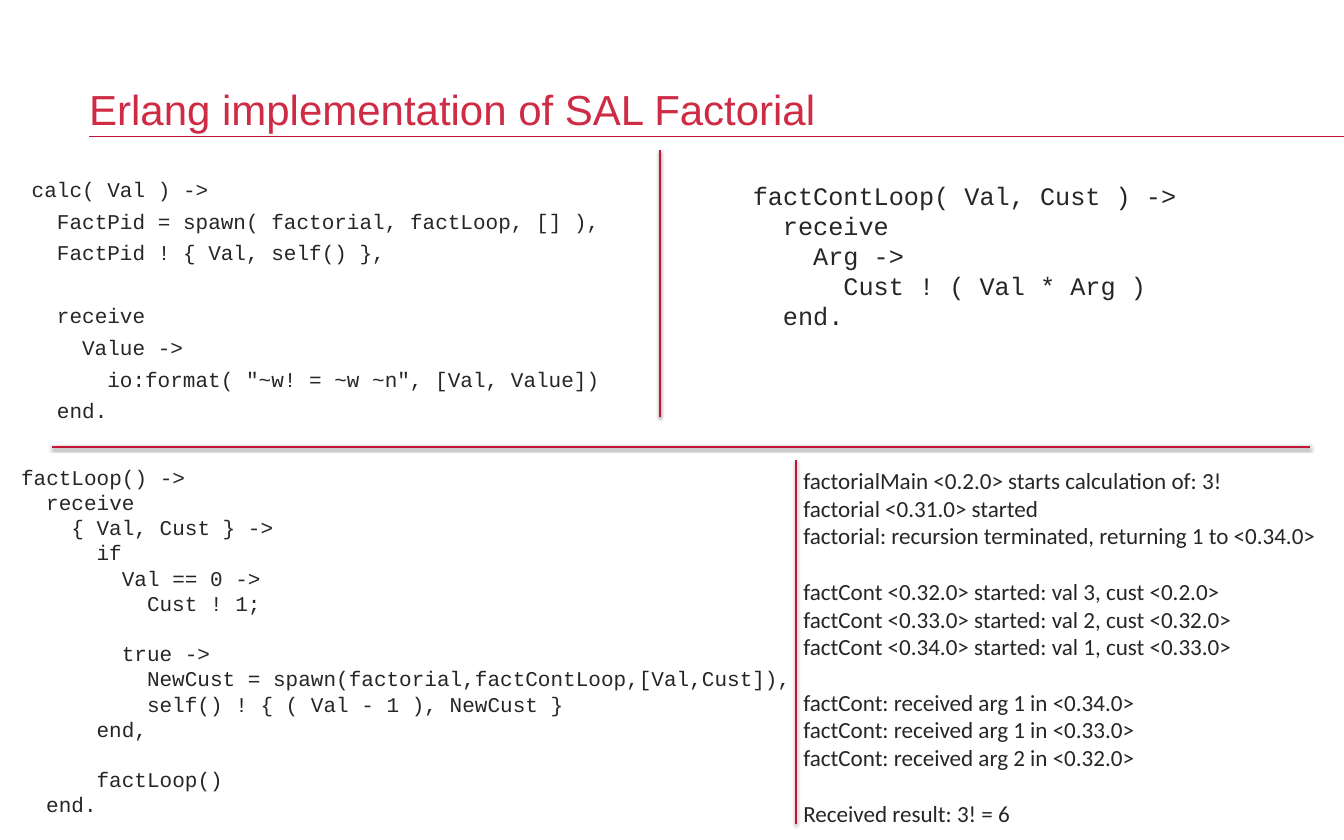
from lxml import etree
from pptx import Presentation
from pptx.dml.color import RGBColor
from pptx.enum.shapes import MSO_CONNECTOR
from pptx.enum.text import MSO_ANCHOR
from pptx.oxml.ns import qn
from pptx.util import Inches, Pt

STRAIGHT = MSO_CONNECTOR.STRAIGHT
TOP, BOTTOM = MSO_ANCHOR.TOP, MSO_ANCHOR.BOTTOM
COLORS = {"title": "CE2C45", "rule": "C11635", "text": "262626", "shadow": "000000"}
CODE_FONT = "Courier New"
CHAR_WIDTH = 0.6

CALC = """calc( Val ) ->
  FactPid = spawn( factorial, factLoop, [] ),
  FactPid ! { Val, self() },

  receive
    Value ->
      io:format( "~w! = ~w ~n", [Val, Value])
  end."""

FACT_LOOP = """factLoop() ->
  receive
    { Val, Cust } ->
      if
        Val == 0 ->
          Cust ! 1;

        true ->
          NewCust = spawn(factorial,factContLoop,[Val,Cust]),
          self() ! { ( Val - 1 ), NewCust }
      end,

      factLoop()
  end."""

FACT_CONT_LOOP = """factContLoop( Val, Cust ) ->
  receive
    Arg ->
      Cust ! ( Val * Arg )
  end."""

OUTPUT = """factorialMain <0.2.0> starts calculation of: 3!
factorial <0.31.0> started
factorial: recursion terminated, returning 1 to <0.34.0>

factCont <0.32.0> started: val 3, cust <0.2.0>
factCont <0.33.0> started: val 2, cust <0.32.0>
factCont <0.34.0> started: val 1, cust <0.33.0>

factCont: received arg 1 in <0.34.0>
factCont: received arg 1 in <0.33.0>
factCont: received arg 2 in <0.32.0>

Received result: 3! = 6"""


def add_line(s, x1, y1, x2, y2, width, shadow=True):
    line = s.shapes.add_connector(STRAIGHT, Inches(x1), Inches(y1), Inches(x2), Inches(y2))
    line.line.color.rgb = RGBColor.from_string(COLORS["rule"])
    line.line.width = Pt(width)
    effects = etree.SubElement(line._element.spPr, qn("a:effectLst"))
    if shadow:
        outer = etree.SubElement(effects, qn("a:outerShdw"), blurRad=str(Pt(3.1)),
                                 dist=str(Pt(1.6)), dir="5400000", rotWithShape="0")
        color = etree.SubElement(outer, qn("a:srgbClr"), val=COLORS["shadow"])
        etree.SubElement(color, qn("a:alpha"), val="38000")


def add_text(s, box, text, font, size, pitch, color="text", after=0,
             insets=(0.1, 0.05, 0.1, 0.05), anchor=TOP):
    tf = s.shapes.add_textbox(*map(Inches, box)).text_frame
    tf.word_wrap = True
    tf.vertical_anchor = anchor
    tf.margin_left, tf.margin_top, tf.margin_right, tf.margin_bottom = map(Inches, insets)
    p, gap = tf.paragraphs[0], 0
    for line in text.split("\n"):
        words = line.lstrip()
        if not words:
            gap += pitch + after
            continue
        if p.runs:
            p = tf.add_paragraph()
        p.line_spacing = Pt(pitch)
        p.space_before, p.space_after = Pt(gap), Pt(after)
        indent = len(line) - len(words)
        p._p.get_or_add_pPr().set("marL", str(Pt(indent * CHAR_WIDTH * size)))
        r = p.add_run()
        r.text = words
        r.font.name, r.font.size = font, Pt(size)
        r.font.color.rgb = RGBColor.from_string(COLORS[color])
        gap = 0


def add_title(s, x, y, w, h):
    add_line(s, x, y + h + 0.04, 17.78, y + h + 0.04, 1, shadow=False)
    add_text(s, (x, y, w, h), "Erlang implementation of SAL Factorial", "Arial", 40, 50,
             color="title", insets=(0, 0.39, 0.39, 0), anchor=BOTTOM)


def add_upper_half(s, x, y, w, h):
    add_text(s, (x, y, 7.66, h), CALC, CODE_FONT, 20, 24, after=6, insets=(0, 0, 0, 0))
    add_text(s, (x + 9.44, y, w - 9.44, 2.52), FACT_CONT_LOOP, CODE_FONT, 24, 28.6)
    add_line(s, x + 8.31, y - 0.35, x + 8.31, y + 3.18, 2)


def add_lower_half(s, x, y, w, h):
    split = x + 10.35
    add_text(s, (x, y, 10.58, h), FACT_LOOP, CODE_FONT, 20, 24)
    add_text(s, (split, y + 0.03, x + w - split, h), OUTPUT, "Calibri", 22, 26.4)
    add_line(s, split, y, split, y + h, 2)


def main():
    prs = Presentation()
    prs.slide_width, prs.slide_height = Inches(17.78), Inches(11.11)
    s = prs.slides.add_slide(prs.slide_layouts[6])
    add_title(s, 1.18, 0, 15.09, 1.77)
    add_upper_half(s, 0.42, 2.34, 15.85, 3.4)
    add_line(s, 0.69, 5.91, 17.33, 5.91, 2)
    add_lower_half(s, 0.18, 6.09, 17.38, 4.81)
    prs.save("out.pptx")


if __name__ == "__main__":
    main()
